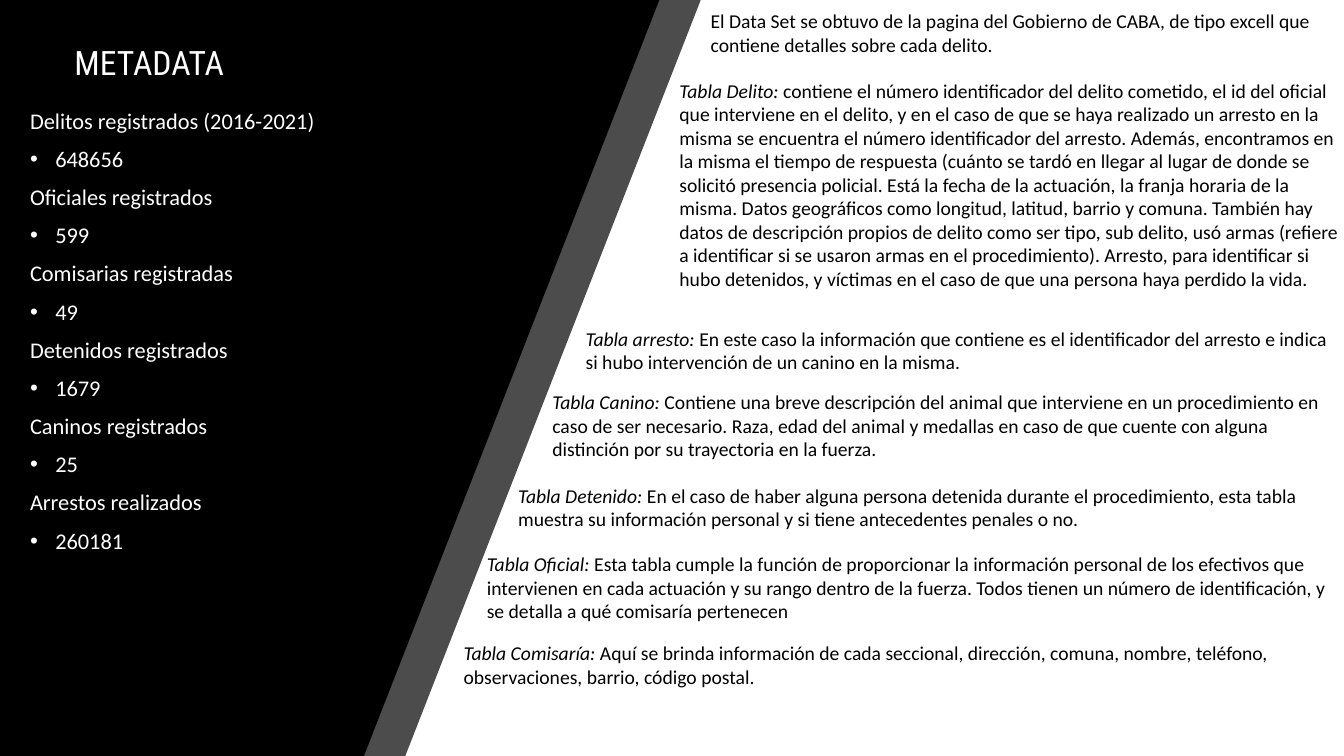
from lxml import etree
from pptx import Presentation
from pptx.dml.color import RGBColor
from pptx.enum.text import MSO_ANCHOR
from pptx.oxml.ns import qn
from pptx.util import Inches, Pt

BLACK = RGBColor(0x00, 0x00, 0x00)
WHITE = RGBColor(0xFF, 0xFF, 0xFF)
WIDTH, HEIGHT = Inches(13.33), Inches(7.5)

TITLE = "METADATA"
COUNTS = [
    ("Delitos registrados (2016-2021)", "648656"),
    ("Oficiales registrados", "599"),
    ("Comisarias registradas", "49"),
    ("Detenidos registrados", "1679"),
    ("Caninos registrados", "25"),
    ("Arrestos realizados", "260181"),
]
# (left, top, width, height), table name, description
DESCRIPTIONS = [
    ((6.95, 0.04, 6.67, 0.57), "",
     "El Data Set se obtuvo de la pagina del Gobierno de CABA, de tipo excell que "
     "contiene detalles sobre cada delito."),
    ((6.64, 0.73, 6.81, 2.22), "Tabla Delito:",
     " contiene el número identificador del delito cometido, el id del oficial que "
     "interviene en el delito, y en el caso de que se haya realizado un arresto en la "
     "misma se encuentra el número identificador del arresto. Además, encontramos en la "
     "misma el tiempo de respuesta (cuánto se tardó en llegar al lugar de donde se "
     "solicitó presencia policial. Está la fecha de la actuación, la franja horaria de "
     "la misma. Datos geográficos como longitud, latitud, barrio y comuna. También hay "
     "datos de descripción propios de delito como ser tipo, sub delito, usó armas "
     "(refiere a identificar si se usaron armas en el procedimiento). Arresto, para "
     "identificar si hubo detenidos, y víctimas en el caso de que una persona haya "
     "perdido la vida."),
    ((5.71, 3.19, 7.62, 0.57), "Tabla arresto:",
     " En este caso la información que contiene es el identificador del arresto e indica "
     "si hubo intervención de un canino en la misma."),
    ((5.38, 3.82, 8.02, 0.81), "Tabla Canino:",
     " Contiene una breve descripción del animal que interviene en un procedimiento en "
     "caso de ser necesario. Raza, edad del animal y medallas en caso de que cuente con "
     "alguna distinción por su trayectoria en la fuerza."),
    ((5.04, 4.75, 8.29, 0.81), "Tabla Detenido:",
     " En el caso de haber alguna persona detenida durante el procedimiento, esta tabla "
     "muestra su información personal y si tiene antecedentes penales o no."),
    ((4.73, 5.43, 8.6, 1.04), "Tabla Oficial:",
     " Esta tabla cumple la función de proporcionar la información personal de los "
     "efectivos que intervienen en cada actuación y su rango dentro de la fuerza. Todos "
     "tienen un número de identificación, y se detalla a qué comisaría pertenecen"),
    ((4.5, 6.31, 8.84, 0.57), "Tabla Comisaría:",
     " Aquí se brinda información de cada seccional, dirección, comuna, nombre, teléfono, "
     "observaciones, barrio, código postal."),
]
# Top and bottom right corners of the slanted panels, and opacity in percent
PANELS = [(6.95, 4.02, 70), (6.54, 3.61, 100)]


def add_panel(slide, top_right, bottom_right, opacity):
    builder = slide.shapes.build_freeform(Inches(top_right), 0)
    builder.add_line_segments([(0, 0), (0, HEIGHT), (Inches(bottom_right), HEIGHT)])
    shape = builder.convert_to_shape()
    shape.shadow.inherit = False
    shape.fill.solid()
    shape.fill.fore_color.rgb = BLACK
    shape.line.fill.background()
    if opacity < 100:
        color = shape.fill._xPr.find(".//" + qn("a:srgbClr"))
        etree.SubElement(color, qn("a:alpha"), val=str(opacity * 1000))


def add_bullet(paragraph):
    properties = paragraph._p.get_or_add_pPr()
    indent = Inches(0.25)
    properties.set("marL", str(indent))
    properties.set("indent", str(-indent))
    etree.SubElement(properties, qn("a:buFont"), typeface="Arial")
    etree.SubElement(properties, qn("a:buChar"), char="•")


def add_text(slide, box, lines, size, color, font="Calibri", anchor=MSO_ANCHOR.TOP,
             line_spacing=None, space_before=None):
    """Each line is (bulleted, [(text, italic), ...])."""
    frame = slide.shapes.add_textbox(*map(Inches, box)).text_frame
    frame.word_wrap = True
    frame.vertical_anchor = anchor
    for index, (bulleted, runs) in enumerate(lines):
        paragraph = frame.add_paragraph() if index else frame.paragraphs[0]
        paragraph.line_spacing = line_spacing
        paragraph.space_before = space_before
        if bulleted:
            add_bullet(paragraph)
        for text, italic in runs:
            run = paragraph.add_run()
            run.text = text
            run.font.name = font
            run.font.size = Pt(size)
            run.font.italic = italic
            run.font.color.rgb = color


def main():
    presentation = Presentation()
    presentation.slide_width = WIDTH
    presentation.slide_height = HEIGHT
    slide = presentation.slides.add_slide(presentation.slide_layouts[6])

    for panel in PANELS:
        add_panel(slide, *panel)

    add_text(slide, (0.64, 0.38, 3.86, 0.53), [(False, [(TITLE, False)])], 24, WHITE,
             font="Roboto Condensed", anchor=MSO_ANCHOR.MIDDLE, line_spacing=0.9)

    count_lines = [(bulleted, [(text, False)])
                   for pair in COUNTS for bulleted, text in enumerate(pair)]
    add_text(slide, (0.2, 1.04, 3.27, 4.75), count_lines, 16, WHITE,
             line_spacing=0.9, space_before=Pt(10))

    for box, name, description in DESCRIPTIONS:
        runs = [(text, italic) for text, italic in ((name, True), (description, False)) if text]
        add_text(slide, box, [(False, runs)], 14, BLACK)

    presentation.save("out.pptx")


if __name__ == "__main__":
    main()
